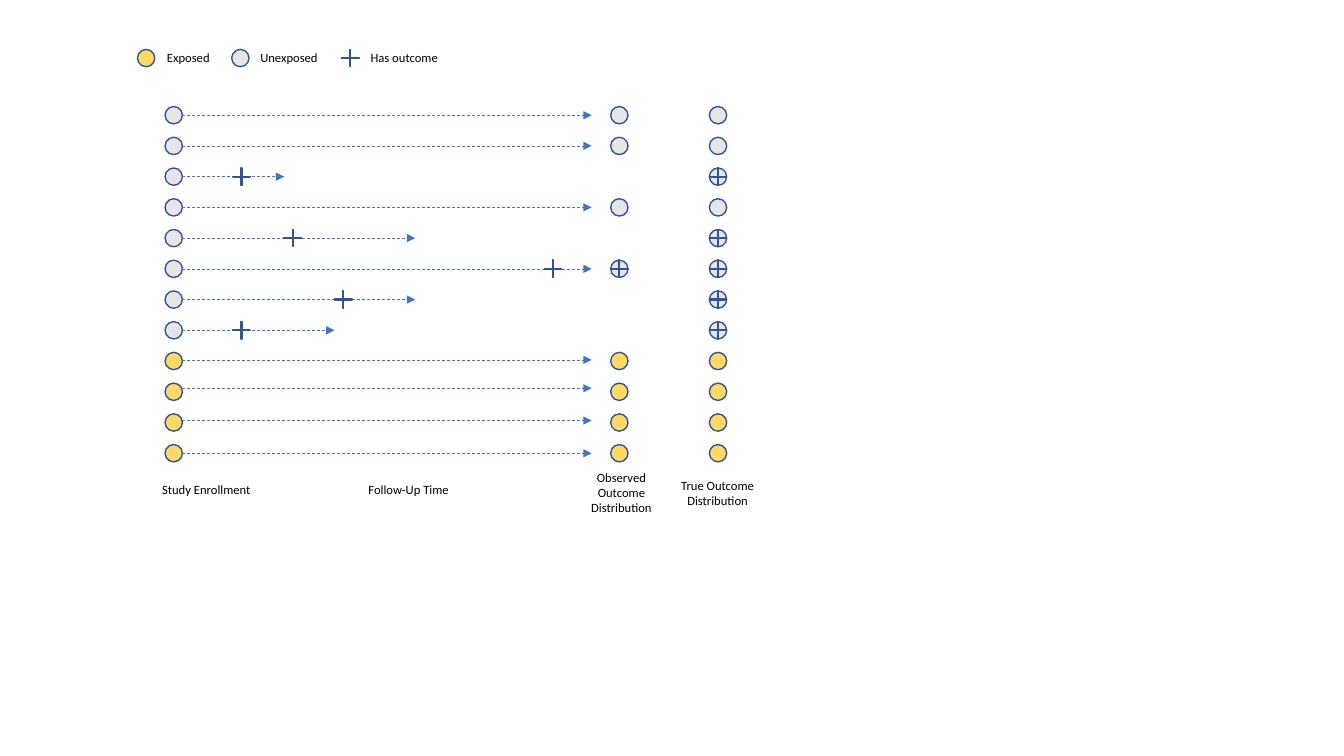
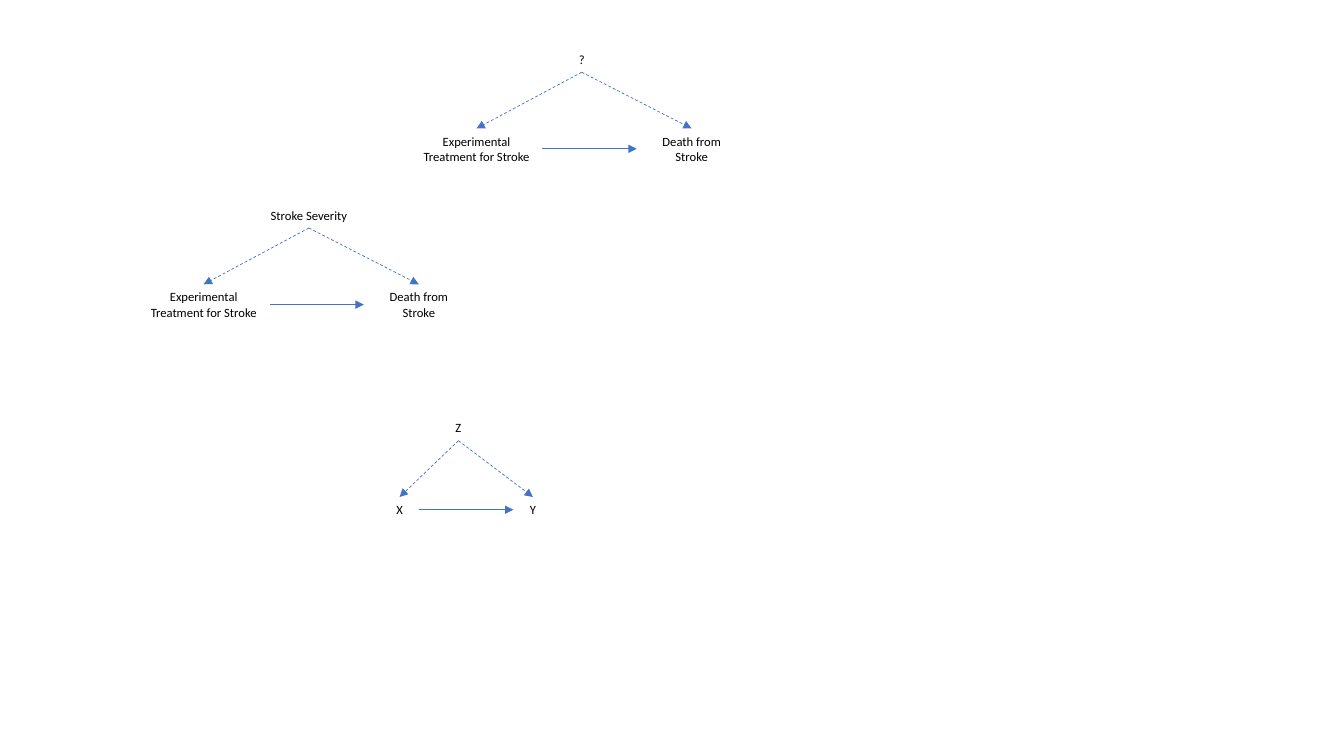
"""Build two slides: a cohort follow-up chart and three causal diagrams."""
import dataclasses
import typing

import lxml.etree
import pptx
import pptx.dml.color
import pptx.enum.dml
import pptx.enum.shapes
import pptx.enum.text
import pptx.oxml.ns
import pptx.util

Pt = pptx.util.Pt
SHAPES = pptx.enum.shapes.MSO_SHAPE
CENTER = pptx.enum.text.PP_ALIGN.CENTER

COLORS = {
    "unexposed": "E7E6E6",
    "exposed": "FFD966",
    "accent": "4472C4",
    "outline": "325491",
    "text": "000000",
}
FONT_NAME = "Calibri"
FONT_SIZE = 9

MARK_SIZE = 12.4
ENROLLMENT_LEFT = 117.9
OBSERVED_LEFT = 436.2
TRUE_LEFT = 506.7
FIRST_ROW_TOP = 76.1
ROW_PITCH = 21.95
STUDY_END = 422.6
LEGEND_TOP = 35.3

CAUSE_WIDTH = 78.5
CAUSE_HEIGHT = 18.2
EFFECT_GAP = 67.3
EFFECT_DROP = 58.4


@dataclasses.dataclass(frozen=True)
class Participant:
    """One row of the follow-up chart; positions are in points."""
    exposed: bool = False
    follow_up_end: float = STUDY_END
    outcome_left: typing.Optional[float] = None
    arrow_lift: float = 0


@dataclasses.dataclass(frozen=True)
class Label:
    """A text box, one paragraph per line of text."""
    text: str
    left: float
    top: float
    width: float
    height: float = CAUSE_HEIGHT
    wrap: bool = False
    centered: bool = False


@dataclasses.dataclass(frozen=True)
class CausalDiagram:
    """A common cause above an exposure and an outcome."""
    cause: str
    exposure: str
    outcome: str
    cause_left: float
    cause_top: float
    exposure_width: float = 94.3
    outcome_width: float = CAUSE_WIDTH
    effect_height: float = 29


PARTICIPANTS = [
    Participant(),
    Participant(),
    Participant(follow_up_end=203, outcome_left=166.3),
    Participant(),
    Participant(follow_up_end=296.6, outcome_left=203),
    Participant(outcome_left=388.8),
    Participant(follow_up_end=296.6, outcome_left=239),
    Participant(follow_up_end=239, outcome_left=166.3),
    Participant(exposed=True, arrow_lift=0.8),
    Participant(exposed=True, arrow_lift=2.5),
    Participant(exposed=True, arrow_lift=1.4),
    Participant(exposed=True),
]

CHART_LABELS = [
    Label("Exposed", 112.2, 32.4, 45.4),
    Label("Unexposed", 178.8, 32.4, 56.2),
    Label("Has outcome", 257.6, 32.4, 63.4),
    Label("Study Enrollment", 108.7, 340.8, 78.5),
    Label("Follow-Up Time", 256.1, 340.8, 72.7),
    Label("Observed Outcome Distribution", 404.6, 332.2, 78.5, 40,
          wrap=True, centered=True),
    Label("True Outcome\nDistribution", 478.8, 337.5, 67.5, 29, centered=True),
]

DIAGRAMS = [
    CausalDiagram("Stroke Severity", "Experimental Treatment for Stroke",
                  "Death from Stroke", 181.4, 144.7),
    CausalDiagram("Z", "X", "Y", 288.2, 296.6, exposure_width=28,
                  outcome_width=28, effect_height=CAUSE_HEIGHT),
    CausalDiagram("?", "Experimental Treatment for Stroke",
                  "Death from Stroke", 376.3, 33.4),
]


def rgb(name: str) -> pptx.dml.color.RGBColor:
    """Return a named colour."""
    return pptx.dml.color.RGBColor.from_string(COLORS[name])


def add_mark(slide, preset, left: float, top: float, fill: str):
    """Draw an outlined mark of the standard size."""
    shape = slide.shapes.add_shape(
        preset, Pt(left), Pt(top), Pt(MARK_SIZE), Pt(MARK_SIZE))
    shape.shadow.inherit = False
    shape.fill.solid()
    shape.fill.fore_color.rgb = rgb(fill)
    shape.line.color.rgb = rgb("outline")
    shape.line.width = Pt(1)
    return shape


def add_person(slide, left: float, top: float, exposed: bool) -> None:
    """Draw the circle of an exposed or unexposed person."""
    add_mark(slide, SHAPES.OVAL, left, top,
             "exposed" if exposed else "unexposed")


def add_outcome(slide, left: float, top: float) -> None:
    """Draw the thin plus that stands for the outcome."""
    plus = add_mark(slide, SHAPES.CROSS, left, top, "accent")
    plus.adjustments[0] = 0.475


def add_arrow(slide, start: tuple[float, float], end: tuple[float, float],
              dashed: bool):
    """Draw a thin arrow between two points."""
    arrow = slide.shapes.add_connector(
        pptx.enum.shapes.MSO_CONNECTOR.STRAIGHT,
        Pt(start[0]), Pt(start[1]), Pt(end[0]), Pt(end[1]))
    arrow.line.color.rgb = rgb("accent")
    arrow.line.width = Pt(0.5)
    if dashed:
        arrow.line.dash_style = pptx.enum.dml.MSO_LINE.DASH
    qualified = pptx.oxml.ns.qn
    lxml.etree.SubElement(arrow.line._get_or_add_ln(),
                          qualified("a:tailEnd"), type="triangle")
    lxml.etree.SubElement(arrow._element.spPr, qualified("a:effectLst"))
    return arrow


def add_label(slide, label: Label):
    """Draw a label in the shared text style."""
    box = slide.shapes.add_textbox(Pt(label.left), Pt(label.top),
                                   Pt(label.width), Pt(label.height))
    text_frame = box.text_frame
    text_frame.text = label.text
    text_frame.word_wrap = label.wrap
    text_frame.auto_size = pptx.enum.text.MSO_AUTO_SIZE.SHAPE_TO_FIT_TEXT
    for paragraph in text_frame.paragraphs:
        if label.centered:
            paragraph.alignment = CENTER
        for run in paragraph.runs:
            run.font.name = FONT_NAME
            run.font.size = Pt(FONT_SIZE)
            run.font.color.rgb = rgb("text")
    return box


def add_participant(slide, participant: Participant, top: float) -> None:
    """Draw one person's enrollment, follow-up and outcome columns."""
    add_person(slide, ENROLLMENT_LEFT, top, participant.exposed)
    arrow_y = top + MARK_SIZE / 2 - participant.arrow_lift
    add_arrow(slide, (ENROLLMENT_LEFT + MARK_SIZE, arrow_y),
              (participant.follow_up_end, arrow_y), dashed=True)
    result_columns = [TRUE_LEFT]
    if participant.follow_up_end == STUDY_END:
        result_columns.append(OBSERVED_LEFT)
    for left in result_columns:
        add_person(slide, left, top, participant.exposed)
    if participant.outcome_left is not None:
        for left in [participant.outcome_left, *result_columns]:
            add_outcome(slide, left, top)


def add_link(slide, source, source_site: int, target, target_site: int,
             dashed: bool) -> None:
    """Draw an arrow glued to connection sites of two boxes."""
    arrow = add_arrow(slide, (0, 0), (0, 0), dashed)
    arrow.begin_connect(source, source_site)
    arrow.end_connect(target, target_site)


def add_diagram(slide, diagram: CausalDiagram) -> None:
    """Draw a causal triangle with its three arrows."""
    top_site, left_site, bottom_site, right_site = range(4)
    outcome_left = diagram.cause_left + CAUSE_WIDTH
    exposure_left = outcome_left - EFFECT_GAP - diagram.exposure_width
    effect_top = diagram.cause_top + EFFECT_DROP
    cause, exposure, outcome = (
        add_label(slide, Label(text, left, top, width, height,
                               wrap=True, centered=True))
        for text, left, top, width, height in [
            (diagram.cause, diagram.cause_left, diagram.cause_top,
             CAUSE_WIDTH, CAUSE_HEIGHT),
            (diagram.exposure, exposure_left, effect_top,
             diagram.exposure_width, diagram.effect_height),
            (diagram.outcome, outcome_left, effect_top,
             diagram.outcome_width, diagram.effect_height),
        ])
    add_link(slide, exposure, right_site, outcome, left_site, dashed=False)
    for effect in (exposure, outcome):
        add_link(slide, cause, bottom_site, effect, top_site, dashed=True)


def build_follow_up_slide(slide) -> None:
    """Draw the legend, participant rows and column labels."""
    add_person(slide, 98.2, LEGEND_TOP, exposed=True)
    add_person(slide, 165.5, LEGEND_TOP, exposed=False)
    add_outcome(slide, 244, LEGEND_TOP)
    for row, participant in enumerate(PARTICIPANTS):
        add_participant(slide, participant, FIRST_ROW_TOP + row * ROW_PITCH)
    for label in CHART_LABELS:
        add_label(slide, label)


def build_diagram_slide(slide) -> None:
    """Draw the causal diagrams."""
    for diagram in DIAGRAMS:
        add_diagram(slide, diagram)


def main() -> None:
    """Create and save the presentation."""
    presentation = pptx.Presentation()
    presentation.slide_width = Pt(960)
    presentation.slide_height = Pt(540)
    blank_layout = presentation.slide_layouts[6]
    for build_slide in (build_follow_up_slide, build_diagram_slide):
        build_slide(presentation.slides.add_slide(blank_layout))
    presentation.save("out.pptx")


main()
